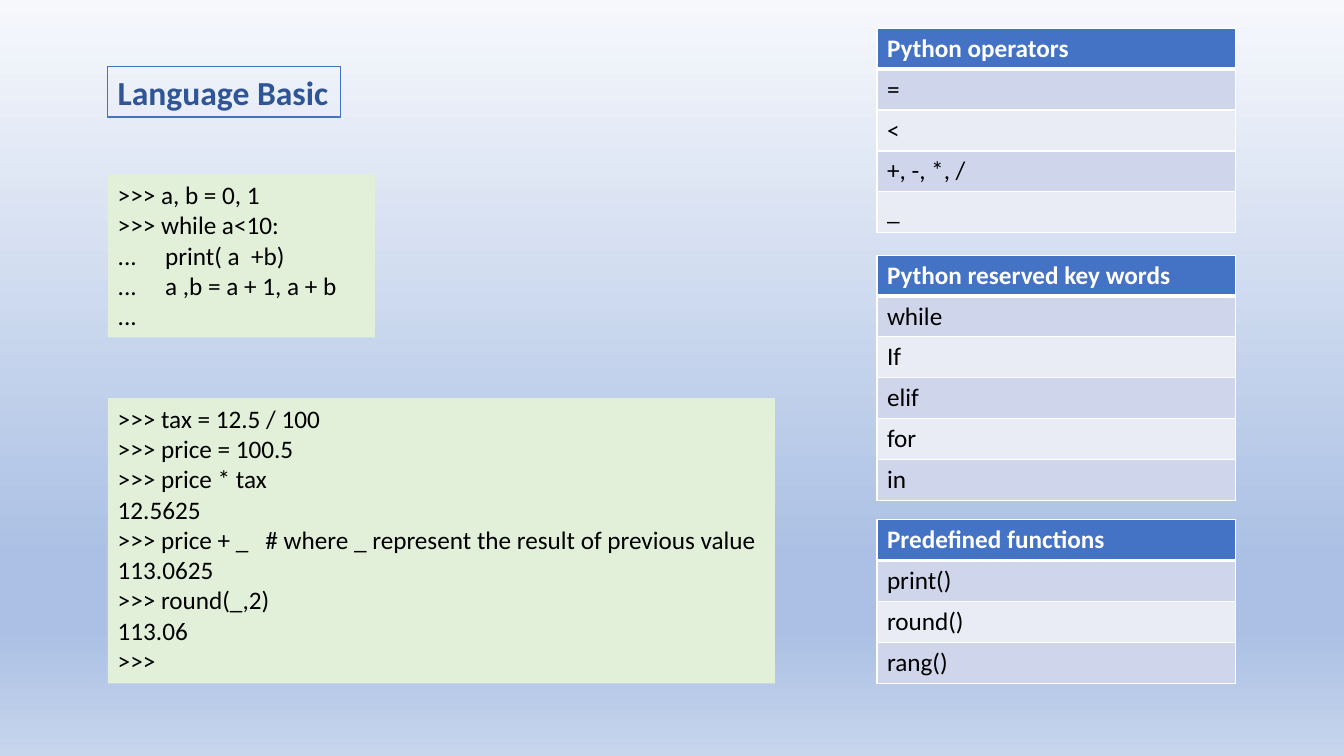
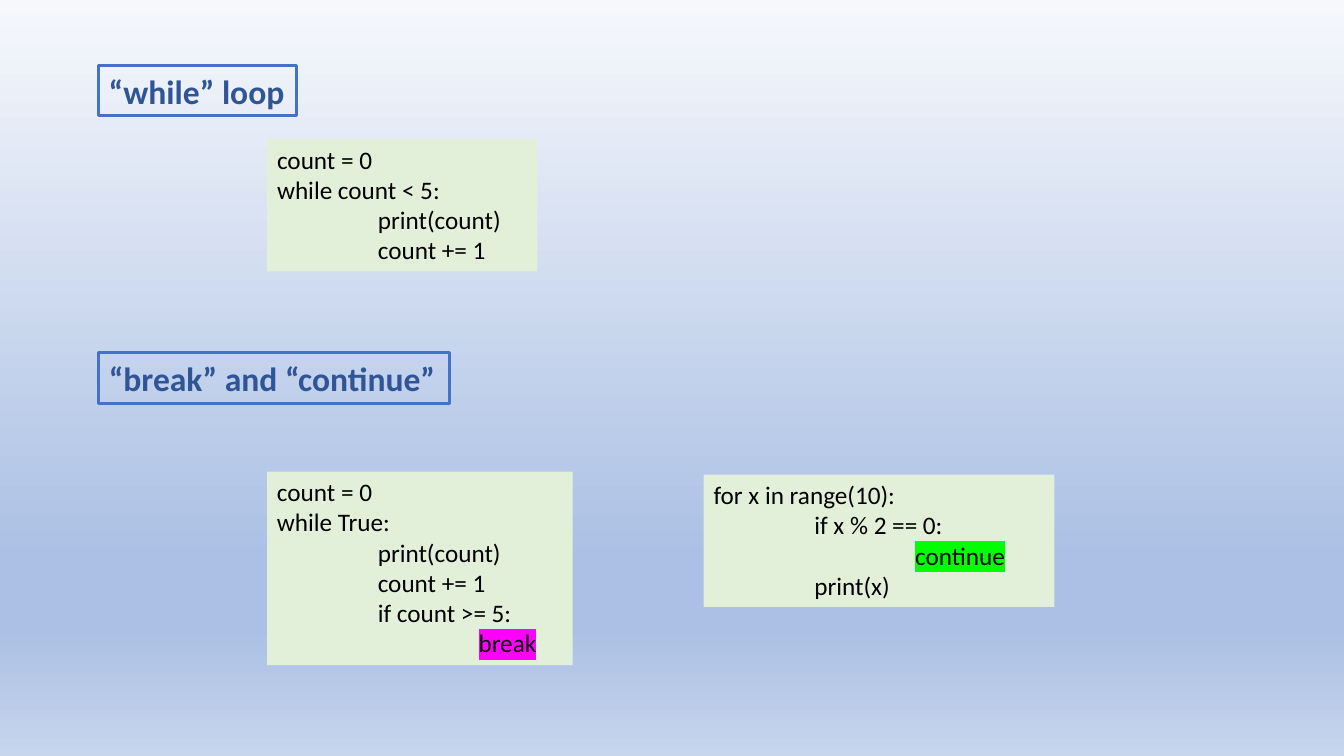
"""Build two slides on Python language basics and loops."""
from lxml import etree
from pptx import Presentation
from pptx.dml.color import RGBColor
from pptx.enum import text
from pptx.oxml import ns
from pptx.util import Pt

BLUE = RGBColor(0x44, 0x72, 0xC4)
NAVY = RGBColor(0x2F, 0x55, 0x97)
GREEN = RGBColor(0xE2, 0xF0, 0xD9)
BLACK = RGBColor(0, 0, 0)
WHITE = RGBColor(0xFF, 0xFF, 0xFF)
BANDS = (RGBColor(0xCF, 0xD5, 0xEA), RGBColor(0xE9, 0xEB, 0xF5))
SKY = (
    (0, RGBColor(0xF6, 0xF8, 0xFC)),
    (74, RGBColor(0xAB, 0xC0, 0xE4)),
    (83, RGBColor(0xAB, 0xC0, 0xE4)),
    (100, RGBColor(0xC7, 0xD5, 0xED)),
)
HIGHLIGHTS = {"break": RGBColor(0xFF, 0, 0xFF), "continue": RGBColor(0, 0xFF, 0)}

HEADING = {"name": "Calibri", "size": Pt(24), "bold": True}
HEADER = {"name": "Calibri", "size": Pt(18), "bold": True}
BODY = {"name": "Calibri", "size": Pt(18), "bold": False}

HEADING_HEIGHT = 36
CODE_LINE, CODE_PADDING = 21.85, 7.2
TABLE_LEFT, TABLE_WIDTH, ROW_HEIGHT = 626.4, 256.3, 29.2
TAB_STOP = 72

SLIDES = [
    {
        "border": 1,
        "headings": [("Language Basic", 77, 47.5, 166.3)],
        "code": [
            (77, 284.4, 476.6, [
                ">>> tax = 12.5 / 100",
                ">>> price = 100.5",
                ">>> price * tax",
                "12.5625",
                ">>> price + _   # where _ represent the result of previous value",
                "113.0625",
                ">>> round(_,2)",
                "113.06",
                ">>>",
            ]),
            (77, 124.6, 190.8, [
                ">>> a, b = 0, 1",
                ">>> while a<10:",
                "...     print( a  +b)",
                "...     a ,b = a + 1, a + b",
                "...",
            ]),
        ],
        "tables": [
            (20.2, ["Python operators", "=", "<", "+, -, *, /", "_"]),
            (182.2, ["Python reserved key words", "while", "If", "elif", "for", "in"]),
            (371.2, ["Predefined functions", "print()", "round()", "rang()"]),
        ],
    },
    {
        "border": 2.25,
        "headings": [
            ("“while” loop", 70.6, 46.8, 141.1),
            ("“break” and “continue”", 70.6, 252, 250.6),
        ],
        "code": [
            (190.8, 99.2, 193, [
                "count = 0",
                "while count < 5:",
                "\tprint(count)",
                "\tcount += 1",
            ]),
            (190.8, 336.8, 218.2, [
                "count = 0",
                "while True:",
                "\tprint(count)",
                "\tcount += 1",
                "\tif count >= 5:",
                "\t\tbreak",
            ]),
            (502.6, 339, 250.6, [
                "for x in range(10):",
                "\tif x % 2 == 0:",
                "\t\tcontinue",
                "\tprint(x)",
            ]),
        ],
        "tables": [],
    },
]


def add_child(parent, tag, **attributes):
    return etree.SubElement(parent, ns.qn(tag), **attributes)


def add_color(parent, color):
    add_child(parent, "a:srgbClr", val=str(color))


def set_font(font, style, color):
    for attribute, value in style.items():
        setattr(font, attribute, value)
    font.color.rgb = color


def paint_background(master):
    fill = master.background.fill
    fill.gradient()
    fill.gradient_angle = 270
    stops = master.element.find(".//" + ns.qn("p:bgPr")).find(".//" + ns.qn("a:gsLst"))
    for stop in list(stops):
        stops.remove(stop)
    for percent, color in SKY:
        add_color(add_child(stops, "a:gs", pos=str(percent * 1000)), color)


def add_heading(slide, words, left, top, width, border):
    heading = slide.shapes.add_textbox(Pt(left), Pt(top), Pt(width), Pt(HEADING_HEIGHT))
    heading.line.color.rgb = BLUE
    heading.line.width = Pt(border)
    frame = heading.text_frame
    frame.word_wrap = False
    frame.auto_size = text.MSO_AUTO_SIZE.SHAPE_TO_FIT_TEXT
    frame.text = words
    set_font(frame.paragraphs[0].runs[0].font, HEADING, NAVY)


def add_code_line(paragraph, line):
    words = line.lstrip("\t")
    depth = len(line) - len(words)
    if depth:
        stops = add_child(paragraph._p.get_or_add_pPr(), "a:tabLst")
        for level in range(1, depth + 1):
            add_child(stops, "a:tab", pos=str(Pt(TAB_STOP * level)), algn="l")
    for part in filter(None, ("\t" * depth, words)):
        run = paragraph.add_run()
        run.text = part
        set_font(run.font, BODY, BLACK)
        if part in HIGHLIGHTS:
            properties = run._r.get_or_add_rPr()
            highlight = add_child(properties, "a:highlight")
            add_color(highlight, HIGHLIGHTS[part])
            properties.find(ns.qn("a:solidFill")).addnext(highlight)


def add_code(slide, left, top, width, lines):
    height = CODE_PADDING + CODE_LINE * len(lines)
    code = slide.shapes.add_textbox(Pt(left), Pt(top), Pt(width), Pt(height))
    code.fill.solid()
    code.fill.fore_color.rgb = GREEN
    frame = code.text_frame
    frame.word_wrap = True
    for index, line in enumerate(lines):
        add_code_line(frame.add_paragraph() if index else frame.paragraphs[0], line)


def set_borders(cell, top, bottom):
    properties = cell._tc.get_or_add_tcPr()
    sides = (("a:lnL", 1), ("a:lnR", 1), ("a:lnT", top), ("a:lnB", bottom))
    for index, (tag, width) in enumerate(sides):
        border = add_child(properties, tag, w=str(Pt(width)))
        add_color(add_child(border, "a:solidFill"), WHITE)
        properties.insert(index, border)


def add_word_table(slide, top, words):
    table = slide.shapes.add_table(
        len(words), 1, Pt(TABLE_LEFT), Pt(top), Pt(TABLE_WIDTH), Pt(ROW_HEIGHT * len(words))
    ).table
    for index, word in enumerate(words):
        table.rows[index].height = Pt(ROW_HEIGHT)
        cell = table.cell(index, 0)
        cell.text = word
        cell.fill.solid()
        cell.fill.fore_color.rgb = BANDS[(index - 1) % 2] if index else BLUE
        style, color = (BODY, BLACK) if index else (HEADER, WHITE)
        set_font(cell.text_frame.paragraphs[0].runs[0].font, style, color)
        set_borders(cell, 3 if index == 1 else 1, 1 if index else 3)


def main():
    deck = Presentation()
    deck.slide_width, deck.slide_height = Pt(960), Pt(540)
    paint_background(deck.slide_master)
    for content in SLIDES:
        slide = deck.slides.add_slide(deck.slide_layouts[6])
        for heading in content["headings"]:
            add_heading(slide, *heading, content["border"])
        for code in content["code"]:
            add_code(slide, *code)
        for table in content["tables"]:
            add_word_table(slide, *table)
    deck.save("out.pptx")


if __name__ == "__main__":
    main()
